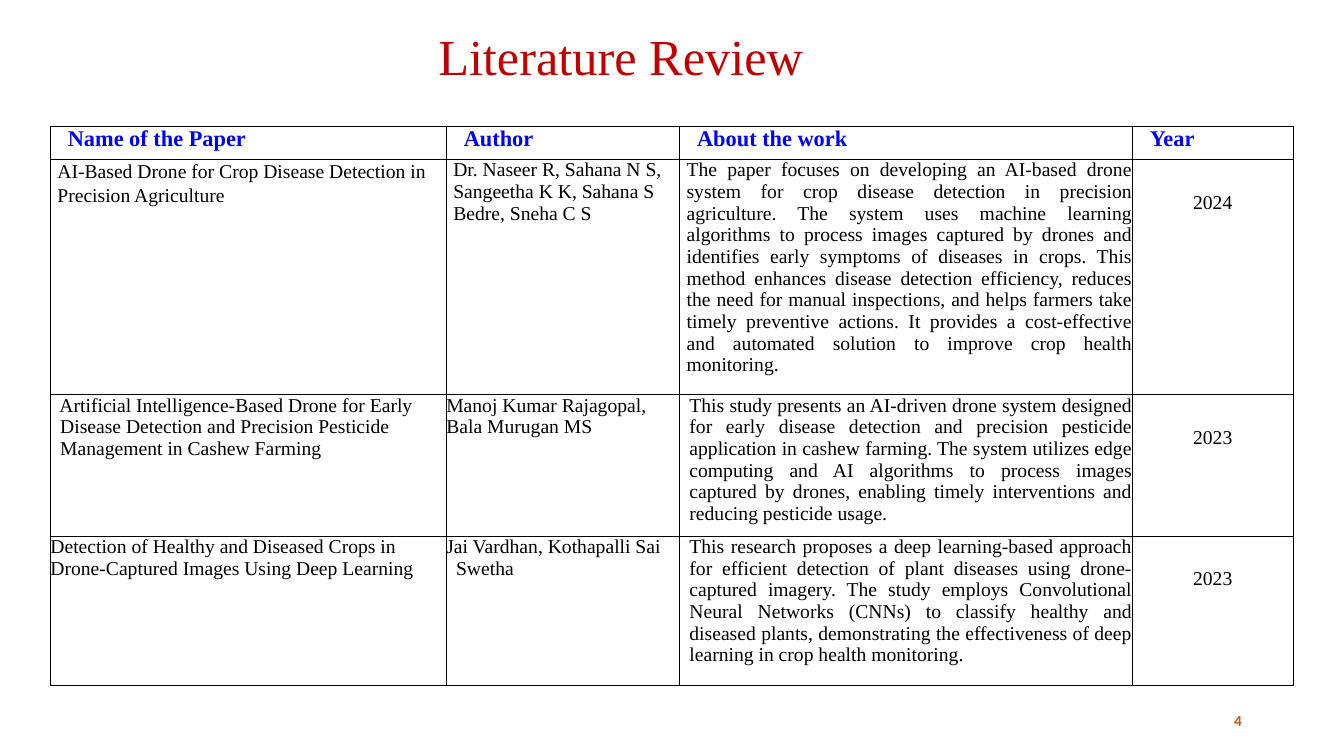
import pptx
import pptx.dml.color
import pptx.enum.text
import pptx.oxml
import pptx.oxml.ns
import pptx.util

Pt = pptx.util.Pt
RGBColor = pptx.dml.color.RGBColor
ALIGN = pptx.enum.text.PP_ALIGN

RED = RGBColor(0xC0, 0x00, 0x00)
BLUE = RGBColor(0x00, 0x00, 0xFF)
BLACK = RGBColor(0x00, 0x00, 0x00)
ORANGE = RGBColor(0xC5, 0x5A, 0x11)
SERIF = "Times New Roman"

COLUMN_WIDTHS = (282.8, 166.7, 323.4, 114.9)
ROW_HEIGHTS = (23.4, 168, 100.6, 107)
HEADINGS = ("Name of the Paper", "Author", "About the work", "Year")
PAPERS = (
    (
        ("AI-Based Drone for Crop Disease Detection in Precision Agriculture",
         {"left": 5, "spacing": 1.1}),
        ("Dr. Naseer R, Sahana N S, Sangeetha K K, Sahana S Bedre, Sneha C S",
         {"left": 5}),
        ("The paper focuses on developing an AI-based drone system for crop disease "
         "detection in precision agriculture. The system uses machine learning "
         "algorithms to process images captured by drones and identifies early "
         "symptoms of diseases in crops. This method enhances disease detection "
         "efficiency, reduces the need for manual inspections, and helps farmers "
         "take timely preventive actions. It provides a cost-effective and automated "
         "solution to improve crop health monitoring.",
         {"left": 5, "align": ALIGN.JUSTIFY}),
        ("2024", {"align": ALIGN.CENTER, "spacing": 2.5}),
    ),
    (
        ("Artificial Intelligence-Based Drone for Early Disease Detection and "
         "Precision Pesticide Management in Cashew Farming",
         {"left": 7, "first": -0.5}),
        ("Manoj Kumar Rajagopal, Bala Murugan MS", {}),
        ("This study presents an AI-driven drone system designed for early disease "
         "detection and precision pesticide application in cashew farming. The "
         "system utilizes edge computing and AI algorithms to process images "
         "captured by drones, enabling timely interventions and reducing pesticide "
         "usage.",
         {"left": 7, "align": ALIGN.JUSTIFY}),
        ("2023", {"align": ALIGN.CENTER, "spacing": 2.5}),
    ),
    (
        ("Detection of Healthy and Diseased Crops in Drone-Captured Images Using "
         "Deep Learning", {}),
        ("Jai Vardhan, Kothapalli Sai Swetha", {"left": 7, "first": -7}),
        ("This research proposes a deep learning-based approach for efficient "
         "detection of plant diseases using drone-captured imagery. The study "
         "employs Convolutional Neural Networks (CNNs) to classify healthy and "
         "diseased plants, demonstrating the effectiveness of deep learning in crop "
         "health monitoring.",
         {"left": 7, "align": ALIGN.JUSTIFY}),
        ("2023", {"align": ALIGN.CENTER, "spacing": 2.5}),
    ),
)


def write_text(frame, text, size=14, color=BLACK, bold=False, font=SERIF,
               align=ALIGN.LEFT, left=0, first=0, spacing=1.0, before=0):
    """Write one formatted paragraph into a text frame without margins."""
    frame.margin_left = frame.margin_right = 0
    frame.margin_top = frame.margin_bottom = 0
    para = frame.paragraphs[0]
    para.alignment = align
    para.line_spacing = spacing
    para.space_before = Pt(before)
    properties = para._p.get_or_add_pPr()
    properties.set("marL", str(Pt(left)))
    properties.set("indent", str(Pt(first)))
    span = para.add_run()
    span.text = text
    span.font.name = font
    span.font.size = Pt(size)
    span.font.bold = bold
    span.font.color.rgb = color


def fill_cell(cell, text, **style):
    """Give a cell its border, clear background and text."""
    properties = cell._tc.get_or_add_tcPr()
    for side in ("lnL", "lnR", "lnT", "lnB"):
        properties.append(pptx.oxml.parse_xml(
            f'<a:{side} {pptx.oxml.ns.nsdecls("a")} w="{Pt(0.58)}"><a:solidFill>'
            f'<a:srgbClr val="{BLACK}"/></a:solidFill></a:{side}>'))
    cell.fill.background()
    cell.margin_left = cell.margin_right = 0
    cell.margin_top = cell.margin_bottom = 0
    write_text(cell.text_frame, text, **style)


def add_title(page, left, top, width, height):
    """Place the heading in the title placeholder."""
    title = page.shapes.title
    title.left, title.top = Pt(left), Pt(top)
    title.width, title.height = Pt(width), Pt(height)
    frame = title.text_frame
    frame.vertical_anchor = pptx.enum.text.MSO_ANCHOR.TOP
    frame.auto_size = pptx.enum.text.MSO_AUTO_SIZE.SHAPE_TO_FIT_TEXT
    write_text(frame, "Literature Review", size=36, color=RED,
               align=ALIGN.CENTER, before=1)
    frame.margin_top = Pt(1)


def add_papers(page, left, top):
    """Add the table of reviewed papers from its top left corner."""
    table = page.shapes.add_table(
        len(ROW_HEIGHTS), len(COLUMN_WIDTHS), Pt(left), Pt(top),
        Pt(sum(COLUMN_WIDTHS)), Pt(sum(ROW_HEIGHTS))).table
    table.first_row = table.horz_banding = False
    for column, width in zip(table.columns, COLUMN_WIDTHS):
        column.width = Pt(width)
    for row, height in zip(table.rows, ROW_HEIGHTS):
        row.height = Pt(height)
    for cell, heading in zip(table.rows[0].cells, HEADINGS):
        fill_cell(cell, heading, size=16, color=BLUE, bold=True, left=12.5)
    for index, paper in enumerate(PAPERS, 1):
        for cell, (text, style) in zip(table.rows[index].cells, paper):
            fill_cell(cell, text, **style)


def add_page_number(page, left, top, width, height):
    """Add the page number at the foot of the slide."""
    box = page.shapes.add_textbox(Pt(left), Pt(top), Pt(width), Pt(height))
    box.text_frame.word_wrap = True
    write_text(box.text_frame, "4", size=11, color=ORANGE, bold=True,
               font="Calibri", left=1, spacing=Pt(11.4))


def main():
    """Build the deck and save it."""
    deck = pptx.Presentation()
    deck.slide_width, deck.slide_height = Pt(960), Pt(540)
    page = deck.slides.add_slide(deck.slide_layouts[5])
    add_title(page, 72, 17.3, 743, 45.4)
    add_papers(page, 36, 90.4)
    add_page_number(page, 880.6, 509.8, 8, 13)
    deck.save("out.pptx")


if __name__ == "__main__":
    main()
